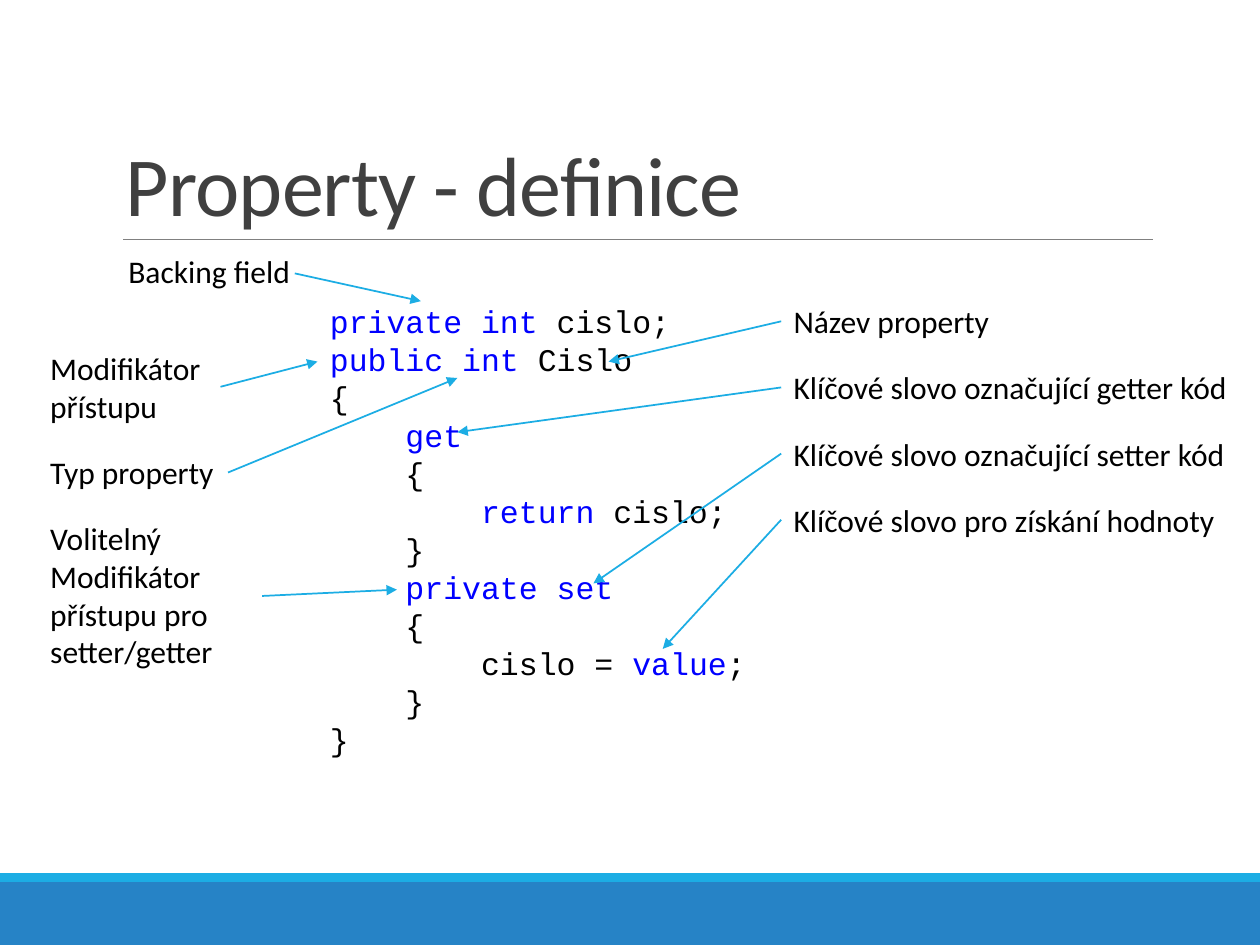
from dataclasses import dataclass

from lxml import etree
from pptx import Presentation
from pptx.dml.color import RGBColor
from pptx.enum.shapes import MSO_CONNECTOR, MSO_SHAPE
from pptx.enum.text import MSO_ANCHOR
from pptx.oxml.ns import qn
from pptx.util import Inches, Pt

STRAIGHT = MSO_CONNECTOR.STRAIGHT
RECTANGLE = MSO_SHAPE.RECTANGLE
TOP, BOTTOM = MSO_ANCHOR.TOP, MSO_ANCHOR.BOTTOM

BLACK = RGBColor(0x00, 0x00, 0x00)
TITLE_GREY = RGBColor(0x40, 0x40, 0x40)
RULE_GREY = RGBColor(0x80, 0x80, 0x80)
KEYWORD_BLUE = RGBColor(0x00, 0x00, 0xFF)
BAND_BLUE = RGBColor(0x26, 0x83, 0xC6)
ACCENT_BLUE = RGBColor(0x1C, 0xAD, 0xE4)

SLIDE_W, SLIDE_H = 10, 7.5
LEFT_COL, CODE_COL, RIGHT_COL = 0.3, 2.52, 6.2
FIRST_ROW, ROW_STEP = 2.35, 0.525
LABEL_H = 0.4
BAND_H, STRIPE_H = 0.5, 0.07

# Keywords stand between asterisks
CODE = """*private* *int* cislo;
*public* *int* Cislo
{
    *get*
    {
        *return* cislo;
    }
    *private* *set*
    {
        cislo = *value*;
    }
}"""


@dataclass(frozen=True)
class Label:
    text: str
    x: float
    y: float
    w: float
    h: float
    start: tuple[float, float]
    target: tuple[float, float]
    wrap: bool = True


def right_label(row: int, text: str, w: float, target: tuple[float, float]) -> Label:
    """Label in the right column, with its arrow leaving from the left edge."""
    y = FIRST_ROW + row * ROW_STEP
    return Label(text, RIGHT_COL, y, w, LABEL_H, (RIGHT_COL, y + LABEL_H / 2), target, False)


LABELS = [
    Label("Backing field", 0.92, 1.95, 1.89, LABEL_H, (2.34, 2.17), (3.34, 2.39)),
    Label("Modifikátor přístupu", LEFT_COL, 2.72, 1.46, 0.71, (1.75, 3.07), (CODE_COL, 2.87)),
    Label("Typ property", LEFT_COL, 3.55, 1.51, LABEL_H, (1.81, 3.75), (3.63, 3), False),
    Label("Volitelný Modifikátor přístupu pro setter/getter", LEFT_COL, 4.07, 1.78, 1.31,
          (2.08, 4.73), (3.15, 4.68)),
    right_label(0, "Název property", 1.77, (4.83, 2.87)),
    right_label(1, "Klíčové slovo označující getter kód", 3.68, (3.63, 3.43)),
    right_label(2, "Klíčové slovo označující setter kód", 3.72, (4.71, 4.63)),
    right_label(3, "Klíčové slovo pro získání hodnoty", 3.56, (5.26, 5.15)),
]


def add_text(s, text: str, x: float, y: float, w: float, h: float, *, font: str = "Calibri",
             size: float = 18, color: RGBColor = BLACK, anchor=TOP, wrap: bool = True,
             line_spacing=None, tracking: int = 0) -> None:
    """Add a text box; every second part split at an asterisk is a keyword."""
    tf = s.shapes.add_textbox(Inches(x), Inches(y), Inches(w), Inches(h)).text_frame
    tf.word_wrap = wrap
    tf.vertical_anchor = anchor
    for i, line in enumerate(text.split("\n")):
        p = tf.add_paragraph() if i else tf.paragraphs[0]
        p.line_spacing = line_spacing
        for j, part in enumerate(line.split("*")):
            if not part:
                continue
            r = p.add_run()
            r.text = part
            r.font.name = font
            r.font.size = Pt(size)
            r.font.color.rgb = KEYWORD_BLUE if j % 2 else color
            if tracking:
                r.font._element.set("spc", str(tracking))


def add_line(s, start: tuple[float, float], end: tuple[float, float], color: RGBColor,
             width: float, arrow: bool = False) -> None:
    c = s.shapes.add_connector(STRAIGHT, *(Inches(v) for v in start + end))
    c.line.color.rgb = color
    c.line.width = Pt(width)
    if arrow:
        etree.SubElement(c.line._get_or_add_ln(), qn("a:tailEnd"), type="triangle")
    etree.SubElement(c._element.spPr, qn("a:effectLst"))


def add_band(s, y: float, h: float, color: RGBColor) -> None:
    sp = s.shapes.add_shape(RECTANGLE, 0, Inches(y), Inches(SLIDE_W), Inches(h))
    sp.shadow.inherit = False
    sp.fill.solid()
    sp.fill.fore_color.rgb = color
    sp.line.fill.background()


def main() -> None:
    prs = Presentation()
    prs.slide_width, prs.slide_height = Inches(SLIDE_W), Inches(SLIDE_H)
    s = prs.slides.add_slide(prs.slide_layouts[6])

    # Footer bands and title rule
    band_top = SLIDE_H - BAND_H
    add_band(s, band_top, BAND_H, BAND_BLUE)
    add_band(s, band_top - STRIPE_H, STRIPE_H, ACCENT_BLUE)
    add_line(s, (0.98, 1.9), (9.15, 1.9), RULE_GREY, 0.5)

    # Title
    add_text(s, "Property - definice", 0.9, 0.31, 8.25, 1.59, size=48, color=TITLE_GREY,
             anchor=BOTTOM, line_spacing=0.85, tracking=-50)

    # Code listing
    add_text(s, CODE, CODE_COL, FIRST_ROW, 5, 3.74, font="Courier New",
             line_spacing=Pt(21.7))

    # Labels with arrows into the code
    for label in LABELS:
        add_text(s, label.text, label.x, label.y, label.w, label.h, wrap=label.wrap)
    for label in LABELS:
        add_line(s, label.start, label.target, ACCENT_BLUE, 1, arrow=True)

    prs.save("out.pptx")


if __name__ == "__main__":
    main()
